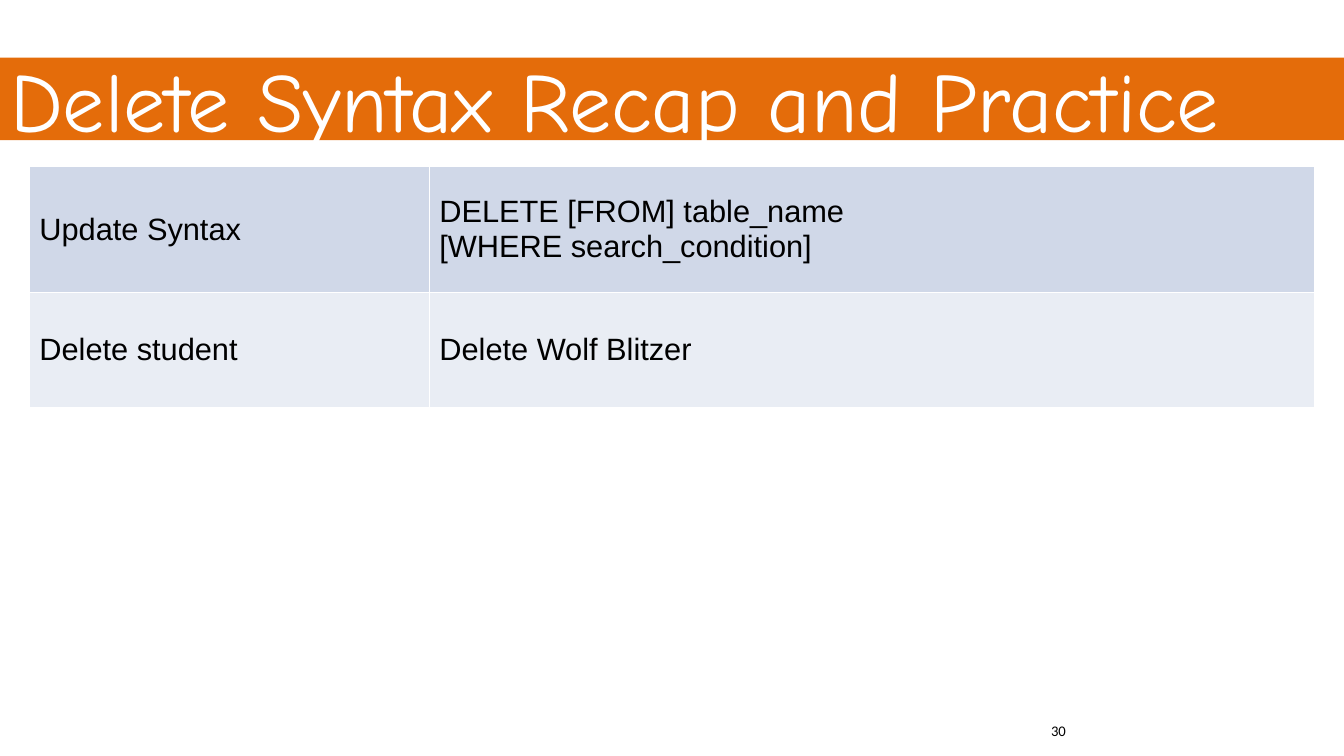
from dataclasses import dataclass

from lxml.etree import SubElement
from pptx import Presentation
from pptx.dml.color import RGBColor
from pptx.enum.text import MSO_ANCHOR as Anchor, MSO_AUTO_SIZE as Fit, PP_ALIGN as Align
from pptx.oxml.ns import qn
from pptx.slide import Slide
from pptx.table import _Cell as Cell
from pptx.text.text import TextFrame as Frame
from pptx.util import Cm, Pt

ORANGE = RGBColor(0xE4, 0x6C, 0x0A)
WHITE = RGBColor(0xFF, 0xFF, 0xFF)
BLACK = RGBColor(0, 0, 0)
BLUE = RGBColor(0xD0, 0xD8, 0xE8)
PALE = RGBColor(0xE9, 0xED, 0xF4)
WIDE = Cm(33.87)


@dataclass
class Row:
    label: str
    code: str
    height: float
    fill: RGBColor


ROWS = [
    Row("Update Syntax", "DELETE [FROM] table_name\n[WHERE search_condition]", 3.18, BLUE),
    Row("Delete student", "Delete Wolf Blitzer", 2.9, PALE),
]
COLS = [10.08, 22.3]


def write(frame: Frame, text: str, font: str, size: float, color: RGBColor) -> None:
    frame.text = text
    for para in frame.paragraphs:
        para.alignment = Align.LEFT
        for run in para.runs:
            run.font.name = font
            run.font.size = Pt(size)
            run.font.color.rgb = color


def border(cell: Cell) -> None:
    props = cell._tc.get_or_add_tcPr()
    for at, side in enumerate(("lnL", "lnR", "lnT", "lnB")):
        line = SubElement(props, qn(f"a:{side}"), w=str(Pt(1)))
        fill = SubElement(line, qn("a:solidFill"))
        SubElement(fill, qn("a:srgbClr"), val=str(WHITE))
        props.insert(at, line)


def add_title(slide: Slide) -> None:
    title = slide.shapes.title
    title.left, title.top, title.width, title.height = 0, Cm(1.45), WIDE, Cm(2.08)
    title.fill.solid()
    title.fill.fore_color.rgb = ORANGE
    frame = title.text_frame
    write(frame, "Delete Syntax Recap and Practice", "Comic Neue", 60, WHITE)
    frame.auto_size = Fit.NONE
    frame.vertical_anchor = Anchor.MIDDLE


def add_grid(slide: Slide) -> None:
    height = sum(row.height for row in ROWS)
    shape = slide.shapes.add_table(
        len(ROWS), len(COLS), Cm(0.74), Cm(4.19), Cm(sum(COLS)), Cm(height))
    grid = shape.table
    grid.first_row = False
    for col, width in zip(grid.columns, COLS):
        col.width = Cm(width)
    for line, row in zip(grid.rows, ROWS):
        line.height = Cm(row.height)
        for cell, text in zip(line.cells, (row.label, row.code)):
            write(cell.text_frame, text, "Arial", 22, BLACK)
            cell.vertical_anchor = Anchor.MIDDLE
            cell.fill.solid()
            cell.fill.fore_color.rgb = row.fill
            border(cell)


def add_number(slide: Slide) -> None:
    box = slide.shapes.add_textbox(Cm(26.24), Cm(18.06), Cm(7.62), Cm(1.02))
    box.text_frame.word_wrap = True
    write(box.text_frame, "30", "Calibri", 10.5, BLACK)


def main() -> None:
    deck = Presentation()
    deck.slide_width, deck.slide_height = WIDE, Cm(19.05)
    slide = deck.slides.add_slide(deck.slide_layouts[5])
    add_title(slide)
    add_number(slide)
    add_grid(slide)
    deck.save("out.pptx")


if __name__ == "__main__":
    main()
